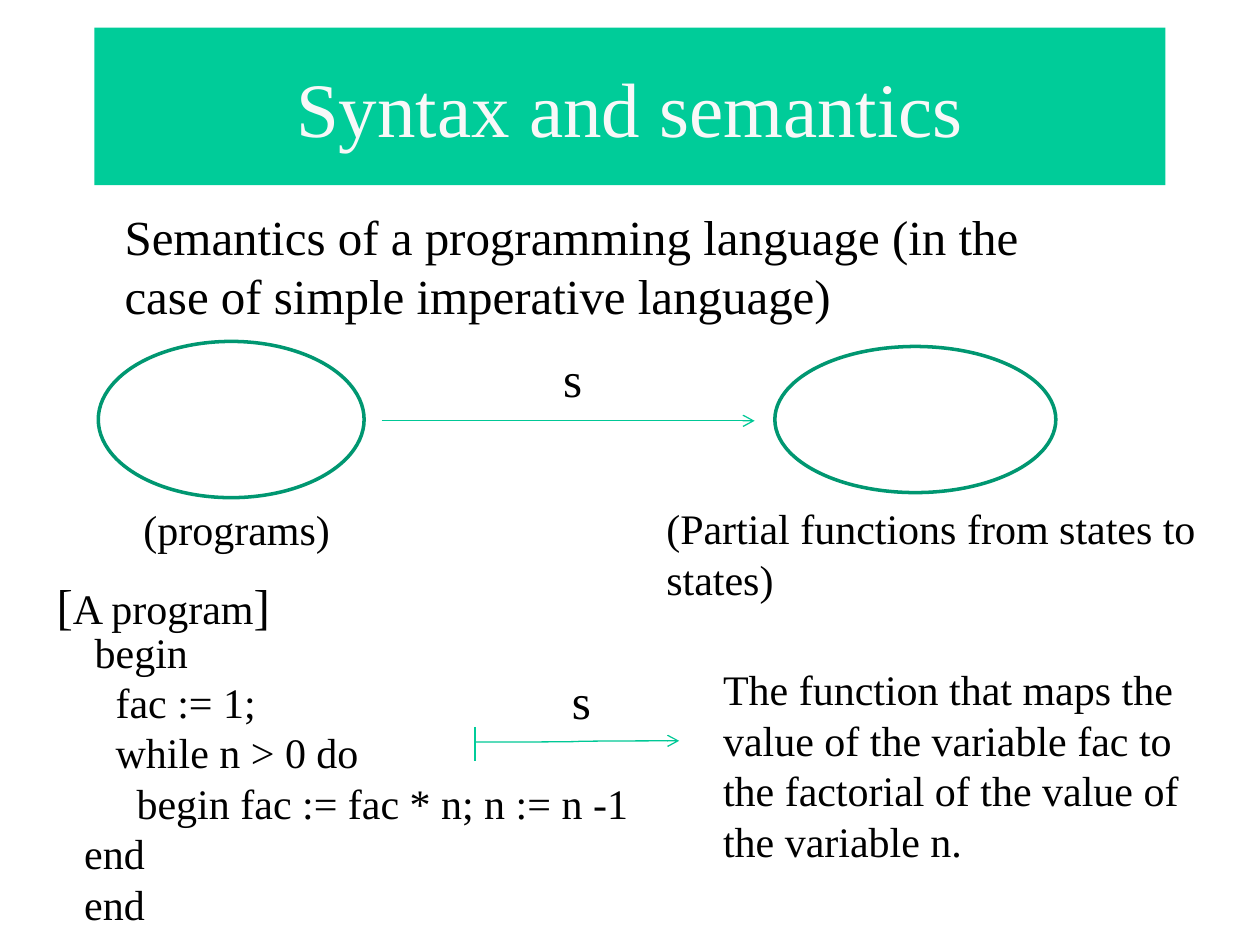
from lxml import etree
from pptx import Presentation
from pptx.dml.color import RGBColor
from pptx.enum.shapes import MSO_CONNECTOR, MSO_SHAPE
from pptx.enum.text import MSO_ANCHOR, PP_ALIGN
from pptx.oxml.ns import qn
from pptx.util import Inches, Pt

FONT = "Times New Roman"
COLORS = {"banner": "00CC99", "title": "F8F8F8", "text": "000000",
          "arrow": "00C896", "ellipse": "009771"}
CELL = 0.1  # grid of 100 columns by 75 rows
COLS, ROWS = 100, 75
CODE = [" begin", "   fac := 1;", "   while n > 0 do",
        "     begin fac := fac * n; n := n -1 end", "end"]


def grid(*cells):
    return [Inches(c * CELL) for c in cells]


def inside(box, x, y, *size):
    """Move a position given relative to a region onto the slide grid."""
    return (box[0] + x, box[1] + y, *size)


def rgb(name):
    return RGBColor.from_string(COLORS[name])


def write(sp, paragraphs, size=24, color="text", align=PP_ALIGN.LEFT,
          anchor=MSO_ANCHOR.TOP, wrap=True):
    """Fill a shape; a paragraph is a string or a list of (text, size) runs."""
    tf = sp.text_frame
    tf.word_wrap = wrap
    tf.vertical_anchor = anchor
    for i, runs in enumerate(paragraphs):
        p = tf.paragraphs[0] if i == 0 else tf.add_paragraph()
        p.alignment = align
        for text, pt in [(runs, size)] if isinstance(runs, str) else runs:
            r = p.add_run()
            r.text = text
            r.font.name, r.font.size = FONT, Pt(pt)
            r.font.color.rgb = rgb(color)


def add_text(s, cells, *paragraphs, **fmt):
    write(s.shapes.add_textbox(*grid(*cells)), paragraphs, **fmt)


def add_shape(s, kind, cells, fill=None, line=None):
    sp = s.shapes.add_shape(kind, *grid(*cells))
    sp.shadow.inherit = False
    if fill:
        sp.fill.solid()
        sp.fill.fore_color.rgb = rgb(fill)
    else:
        sp.fill.background()
    if line:
        sp.line.color.rgb, sp.line.width = rgb(line), Pt(2)
    else:
        sp.line.fill.background()
    return sp


def add_line(s, start, end, kind=MSO_CONNECTOR.CURVE, color="arrow", head=True):
    c = s.shapes.add_connector(kind, *grid(*start, *end))
    c.line.color.rgb, c.line.width = rgb(color), Pt(0.75)
    if head:
        etree.SubElement(c.line._get_or_add_ln(), qn("a:tailEnd"), type="arrow")
    etree.SubElement(c._element.spPr, qn("a:effectLst"))


def draw_header(s, box):
    # Title banner and introduction
    banner = add_shape(s, MSO_SHAPE.RECTANGLE, inside(box, 0, 0, 85, 12.5), fill="banner")
    write(banner, ["Syntax and semantics"], size=44, color="title",
          align=PP_ALIGN.CENTER, anchor=MSO_ANCHOR.MIDDLE)
    add_text(s, inside(box, 1.4, 13.7, 80.5, 10.4),
             "Semantics of a programming language "
             "(in the case of simple imperative language)", size=28)


def draw_mapping(s, box):
    # Two sets joined by the semantic function
    for cells in ((0, 0, 21.1, 12.4), (53.7, 0.4, 22.3, 11.6)):
        add_shape(s, MSO_SHAPE.OVAL, inside(box, *cells), line="ellipse")
    add_line(s, inside(box, 22.5, 6.3), inside(box, 52.1, 6.3))
    add_text(s, inside(box, 35.9, 0.1, 3.5, 5.7), "s", size=28, wrap=False)
    # Captions under the sets
    add_text(s, inside(box, 2.6, 12.4, 17, 5), "(programs)", wrap=False)
    add_text(s, inside(box, 44.1, 12.3, 45, 9.1),
             "(Partial functions from states to states)")


def draw_example(s, box):
    # Sample program
    add_text(s, inside(box, 0, 0, 19.1, 5.7),
             [("[", 28), ("A program", 24), ("]", 28)], wrap=False)
    add_text(s, inside(box, 2.2, 4, 46.6, 25.2), *CODE)
    # Maps-to arrow with its bar
    add_line(s, inside(box, 34.2, 13.7), inside(box, 50.4, 13.6))
    add_line(s, inside(box, 34.2, 12.5), inside(box, 34.2, 15.2),
             kind=MSO_CONNECTOR.STRAIGHT, color="banner", head=False)
    add_text(s, inside(box, 40.9, 7.5, 3.5, 5.7), "s", size=28, wrap=False)
    # Meaning of the program
    add_text(s, inside(box, 52.9, 7, 39.8, 17.2),
             "The function that maps the value of the variable fac to "
             "the factorial of the value of the variable n.")


def main():
    prs = Presentation()
    prs.slide_width, prs.slide_height = grid(COLS, ROWS)
    s = prs.slides.add_slide(prs.slide_layouts[6])
    draw_header(s, (7.5, 2.2))
    draw_mapping(s, (7.8, 27.1))
    draw_example(s, (3.5, 45.2))
    prs.save("out.pptx")


if __name__ == "__main__":
    main()
